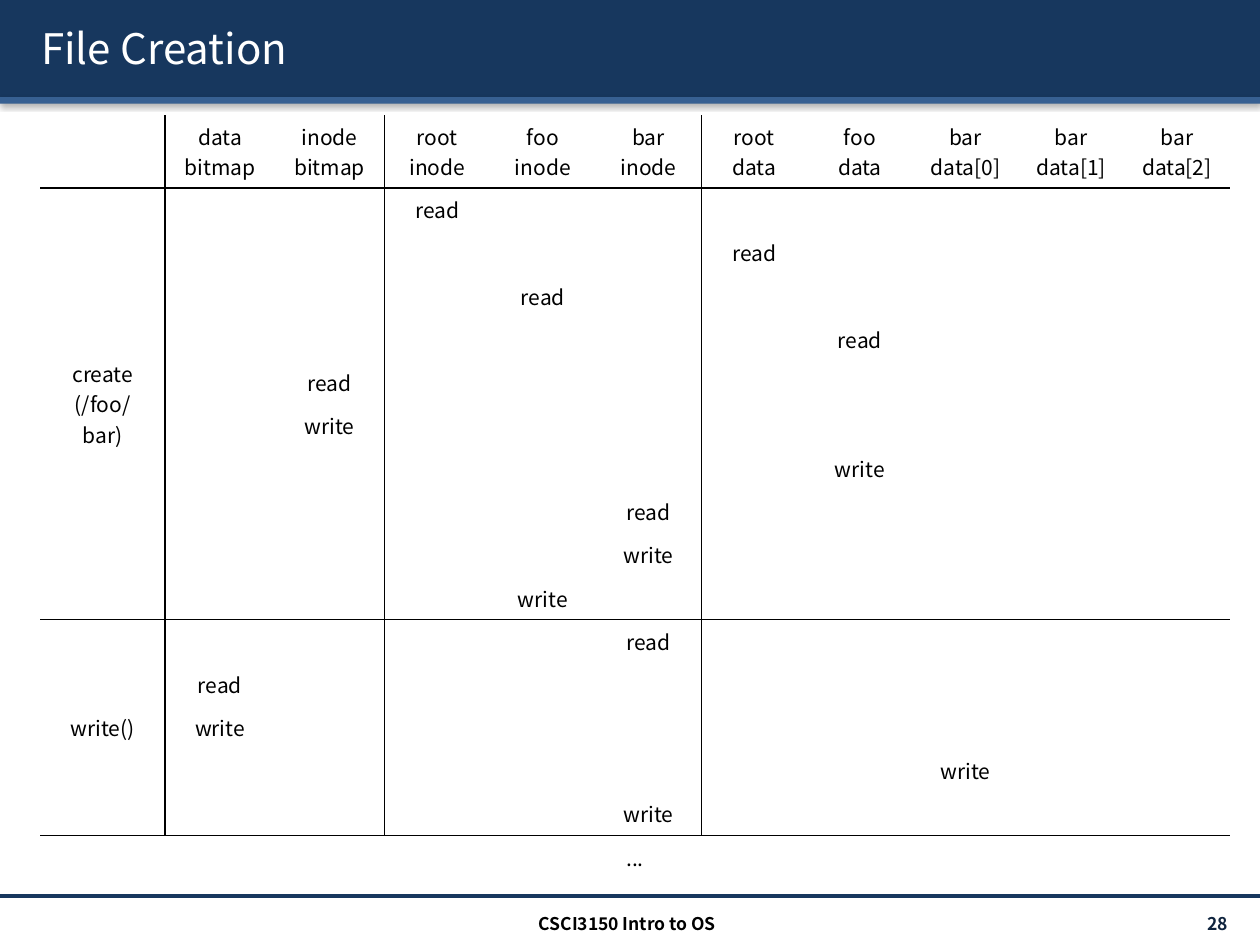
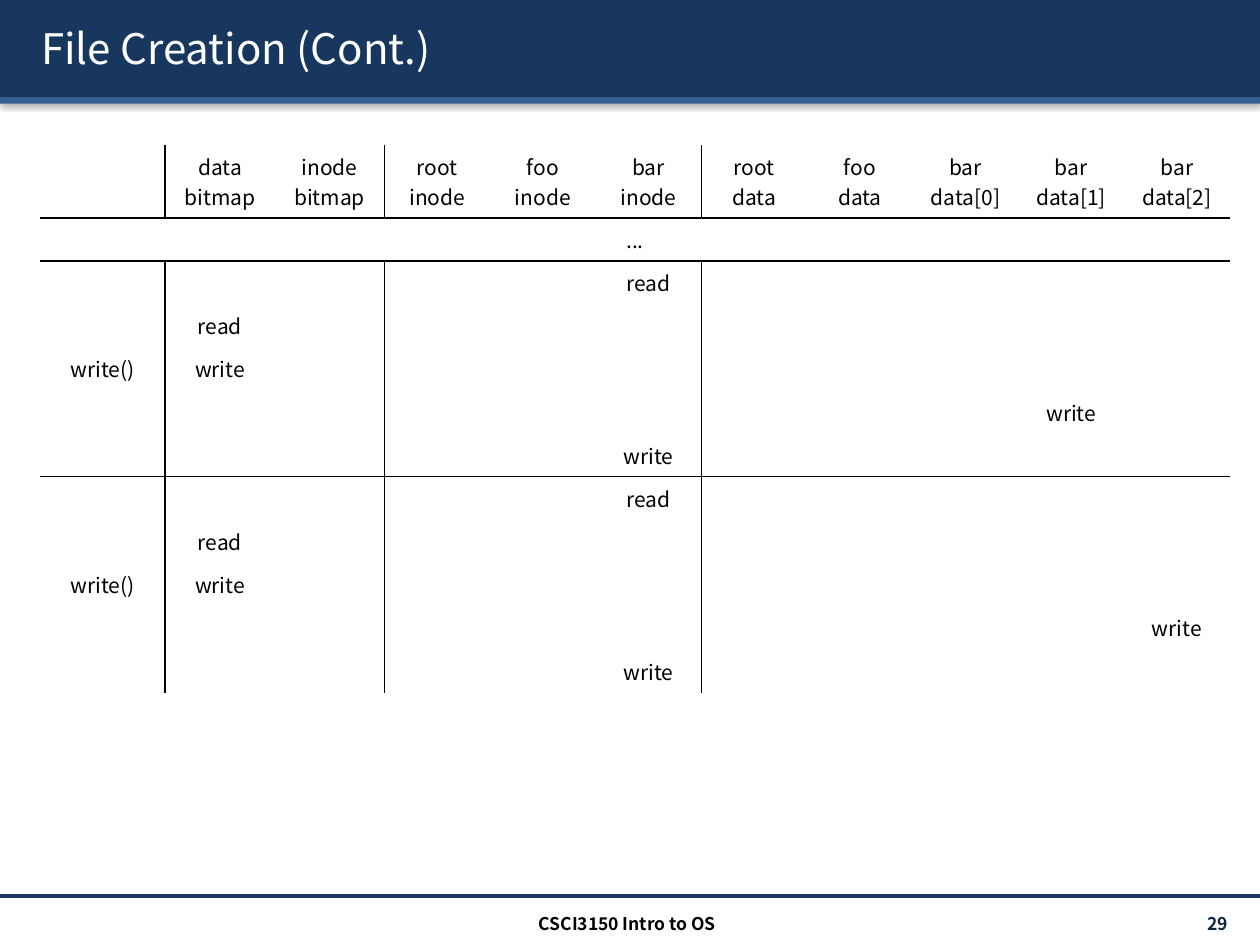
from lxml import etree
from pptx import Presentation
from pptx.dml.color import RGBColor
from pptx.enum.shapes import MSO_CONNECTOR, MSO_SHAPE
from pptx.enum.text import MSO_ANCHOR, PP_ALIGN
from pptx.oxml.ns import qn
from pptx.util import Cm, Pt

RECTANGLE = MSO_SHAPE.RECTANGLE
STRAIGHT = MSO_CONNECTOR.STRAIGHT
MIDDLE = MSO_ANCHOR.MIDDLE
LEFT, CENTER, RIGHT = PP_ALIGN.LEFT, PP_ALIGN.CENTER, PP_ALIGN.RIGHT

FONT = "Noto Sans CJK KR"
NAVY, BLUE, INK = "17375E", "376092", "0F243E"
WHITE, BLACK = "FFFFFF", "000000"
SLIDE_WIDTH, SLIDE_HEIGHT = 25.4, 19.05
COURSE = "CSCI3150 Intro to OS"

COLUMNS = ["data bitmap", "inode bitmap", "root inode", "foo inode", "bar inode",
           "root data", "foo data", "bar data[0]", "bar data[1]", "bar data[2]"]
COLUMN_WIDTHS = [2.52] + [2.21] * 2 + [2.13] * 8
RULED_COLUMNS = {0, 2, 5}
HEADER_HEIGHT, ROW_HEIGHT = 1.47, 0.87

CREATE = ("create\n(/foo/bar)", [
    ("root inode", "read"), ("root data", "read"), ("foo inode", "read"),
    ("foo data", "read"), ("inode bitmap", "read"), ("inode bitmap", "write"),
    ("foo data", "write"), ("bar inode", "read"), ("bar inode", "write"),
    ("foo inode", "write")])
ELLIPSIS = ("...", [])


def write_group(block):
    return ("write()", [
        ("bar inode", "read"), ("data bitmap", "read"), ("data bitmap", "write"),
        (f"bar data[{block}]", "write"), ("bar inode", "write")])


def color(value):
    return RGBColor.from_string(value)


def add_shadow(effects, blur, distance, direction, opacity):
    shadow = etree.SubElement(effects, qn("a:outerShdw"), blurRad=str(Pt(blur)),
                              dist=str(Pt(distance)), dir=str(direction * 60000),
                              algn="tl", rotWithShape="0")
    black = etree.SubElement(shadow, qn("a:srgbClr"), val=BLACK)
    etree.SubElement(black, qn("a:alpha"), val=str(opacity * 1000))


def style_paragraphs(text_frame, size, value, alignment, bold=False):
    for paragraph in text_frame.paragraphs:
        paragraph.alignment = alignment
        font = paragraph.font
        font.name, font.size, font.bold = FONT, Pt(size), bold
        font.color.rgb = color(value)


def add_text(slide, text, left, top, width, height, size, value, alignment, bold=False):
    box = slide.shapes.add_textbox(Cm(left), Cm(top), Cm(width), Cm(height))
    frame = box.text_frame
    frame.word_wrap = True
    frame.vertical_anchor = MIDDLE
    frame.text = text
    style_paragraphs(frame, size, value, alignment, bold)
    return box


def add_band(slide, top, height, value):
    band = slide.shapes.add_shape(RECTANGLE, 0, Cm(top), Cm(SLIDE_WIDTH), Cm(height))
    band.fill.solid()
    band.fill.fore_color.rgb = color(value)
    band.line.fill.background()
    band.shadow.inherit = False
    effects = band._element.spPr.find(qn("a:effectLst"))
    add_shadow(effects, 3.1, 1.6, 90, 38)


def add_footer_line(slide):
    line = slide.shapes.add_connector(STRAIGHT, 0, Cm(18.06), Cm(SLIDE_WIDTH), Cm(18.06))
    line.line.color.rgb = color(NAVY)
    line.line.width = Pt(2)
    etree.SubElement(line._element.spPr, qn("a:effectLst"))


def add_title(slide, title):
    box = add_text(slide, title, 0.58, 0.15, 24.4, 1.63, 24, WHITE, LEFT)
    run = box.text_frame.paragraphs[0].runs[0]
    effects = etree.SubElement(run._r.get_or_add_rPr(), qn("a:effectLst"))
    add_shadow(effects, 3, 3, 45, 43)


def add_frame(slide, title, number):
    add_band(slide, 0, 1.96, NAVY)
    add_band(slide, 1.96, 0.13, BLUE)
    add_footer_line(slide)
    add_title(slide, title)
    add_text(slide, f"{number} ", 22.12, 18.31, 2.97, 0.61, 10, INK, RIGHT, True)
    add_text(slide, COURSE, 8.43, 18.31, 8.43, 0.61, 10, BLACK, CENTER, True)


def set_borders(cell, ruled_sides):
    properties = cell._tc.get_or_add_tcPr()
    for side in "LRTB":
        line = etree.SubElement(properties, qn(f"a:ln{side}"), w=str(Pt(1)))
        if side in ruled_sides:
            fill = etree.SubElement(line, qn("a:solidFill"))
            etree.SubElement(fill, qn("a:srgbClr"), val=BLACK)
        else:
            etree.SubElement(line, qn("a:noFill"))


def style_cell(cell, ruled_sides):
    set_borders(cell, ruled_sides)
    cell.fill.background()
    cell.vertical_anchor = MIDDLE
    cell.margin_left = cell.margin_right = Cm(0.3)
    cell.margin_top = cell.margin_bottom = Cm(0.12 if cell.text else 0)
    style_paragraphs(cell.text_frame, 12, BLACK, CENTER)


def fill_groups(table, groups):
    ruled_rows, open_rows = {0}, set()
    row = 1
    for label, accesses in groups:
        last = row + max(len(accesses), 1) - 1
        table.cell(row, 0).text = label
        if accesses:
            table.cell(row, 0).merge(table.cell(last, 0))
        else:
            table.cell(row, 0).merge(table.cell(row, len(COLUMNS)))
            open_rows.add(row)
        for offset, (column, access) in enumerate(accesses):
            table.cell(row + offset, COLUMNS.index(column) + 1).text = access
        ruled_rows.add(last)
        row = last + 1
    return ruled_rows - {row - 1}, open_rows


def add_access_table(slide, top, groups):
    row_count = 1 + sum(max(len(accesses), 1) for _, accesses in groups)
    heights = [HEADER_HEIGHT] + [ROW_HEIGHT] * (row_count - 1)
    table = slide.shapes.add_table(row_count, len(COLUMN_WIDTHS), Cm(0.81), Cm(top),
                                   Cm(sum(COLUMN_WIDTHS)), Cm(sum(heights))).table
    table.first_row = table.horz_banding = False
    for column, width in zip(table.columns, COLUMN_WIDTHS):
        column.width = Cm(width)
    for row, height in zip(table.rows, heights):
        row.height = Cm(height)
    for index, name in enumerate(COLUMNS, 1):
        table.cell(0, index).text = name.replace(" ", "\n")
    ruled_rows, open_rows = fill_groups(table, groups)
    for row in range(row_count):
        ruled_columns = set() if row in open_rows else RULED_COLUMNS
        for column in range(len(COLUMN_WIDTHS)):
            rules = {"L": column - 1 in ruled_columns, "R": column in ruled_columns,
                     "T": row - 1 in ruled_rows, "B": row in ruled_rows}
            style_cell(table.cell(row, column), [side for side in rules if rules[side]])


def main():
    presentation = Presentation()
    presentation.slide_width, presentation.slide_height = Cm(SLIDE_WIDTH), Cm(SLIDE_HEIGHT)
    pages = [
        ("File Creation", 28, 2.32, [CREATE, write_group(0), ELLIPSIS]),
        ("File Creation (Cont.)", 29, 2.92, [ELLIPSIS, write_group(1), write_group(2)]),
    ]
    for title, number, table_top, groups in pages:
        slide = presentation.slides.add_slide(presentation.slide_layouts[6])
        add_frame(slide, title, number)
        add_access_table(slide, table_top, groups)
    presentation.save("out.pptx")


if __name__ == "__main__":
    main()
